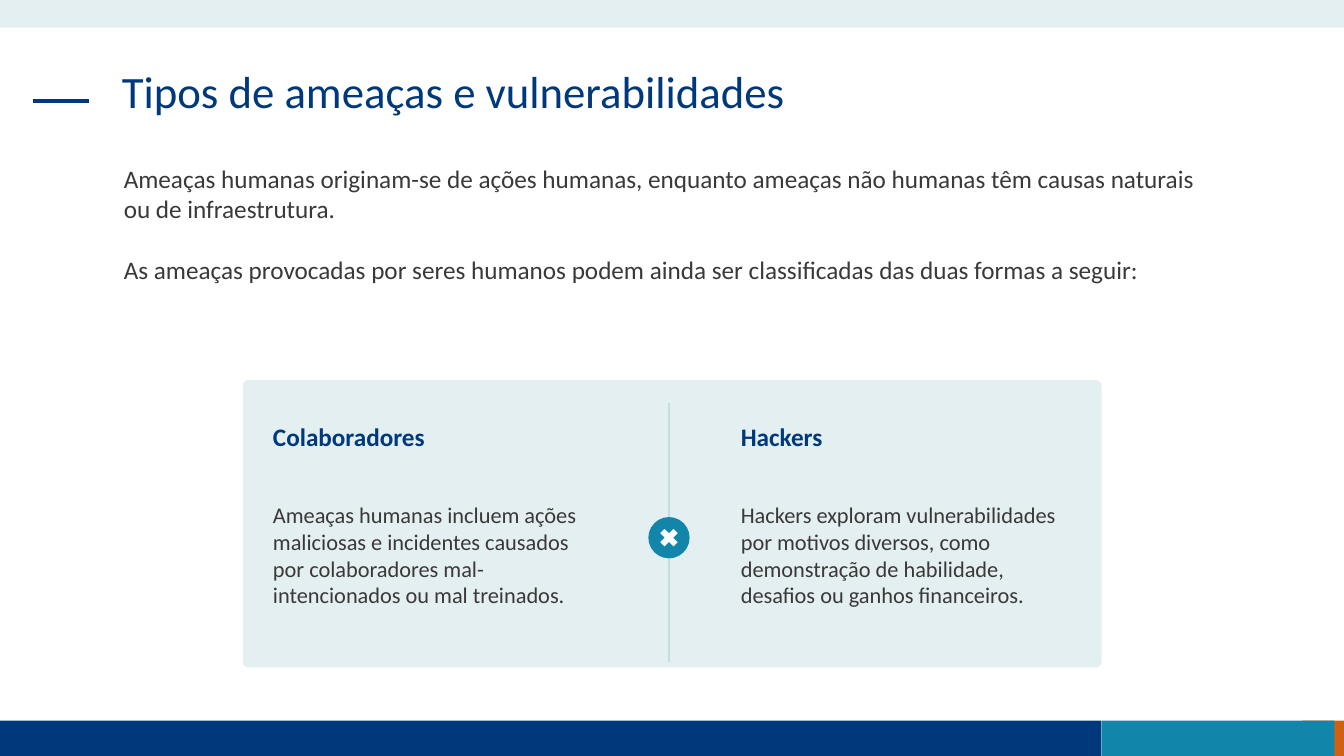
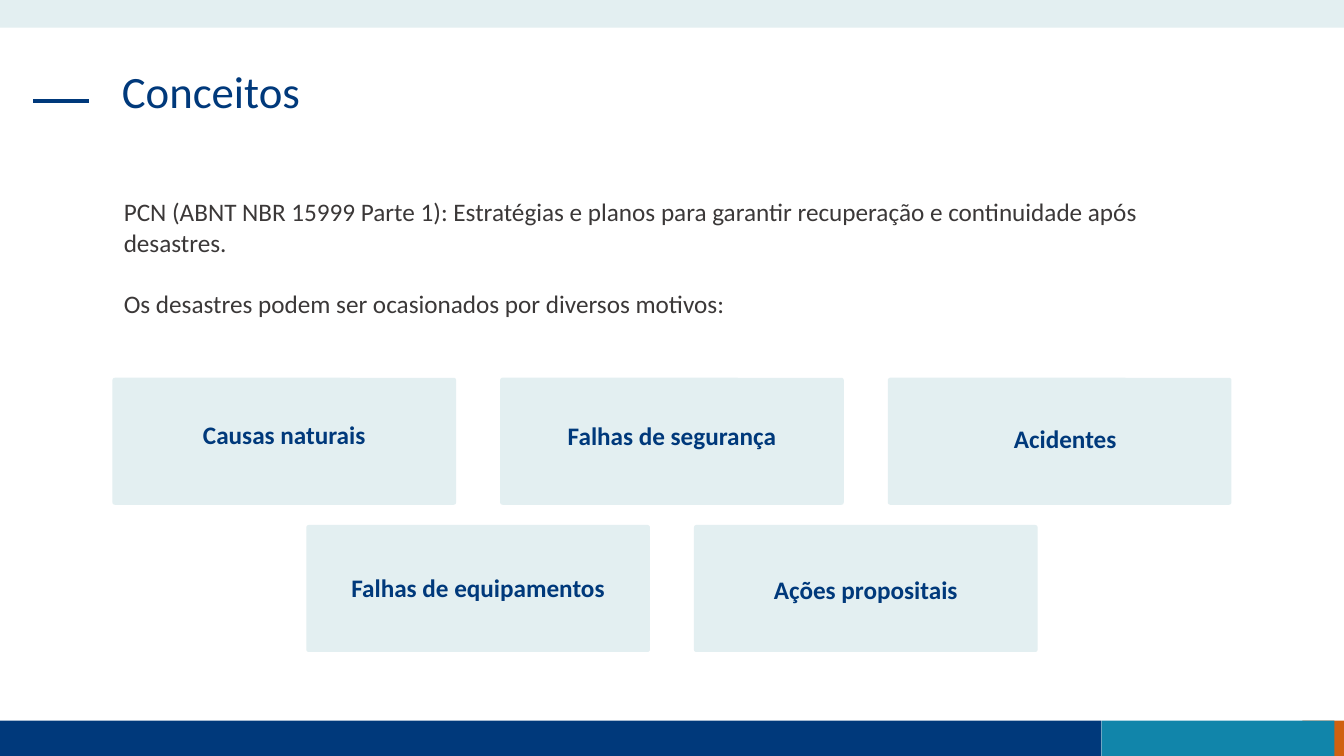
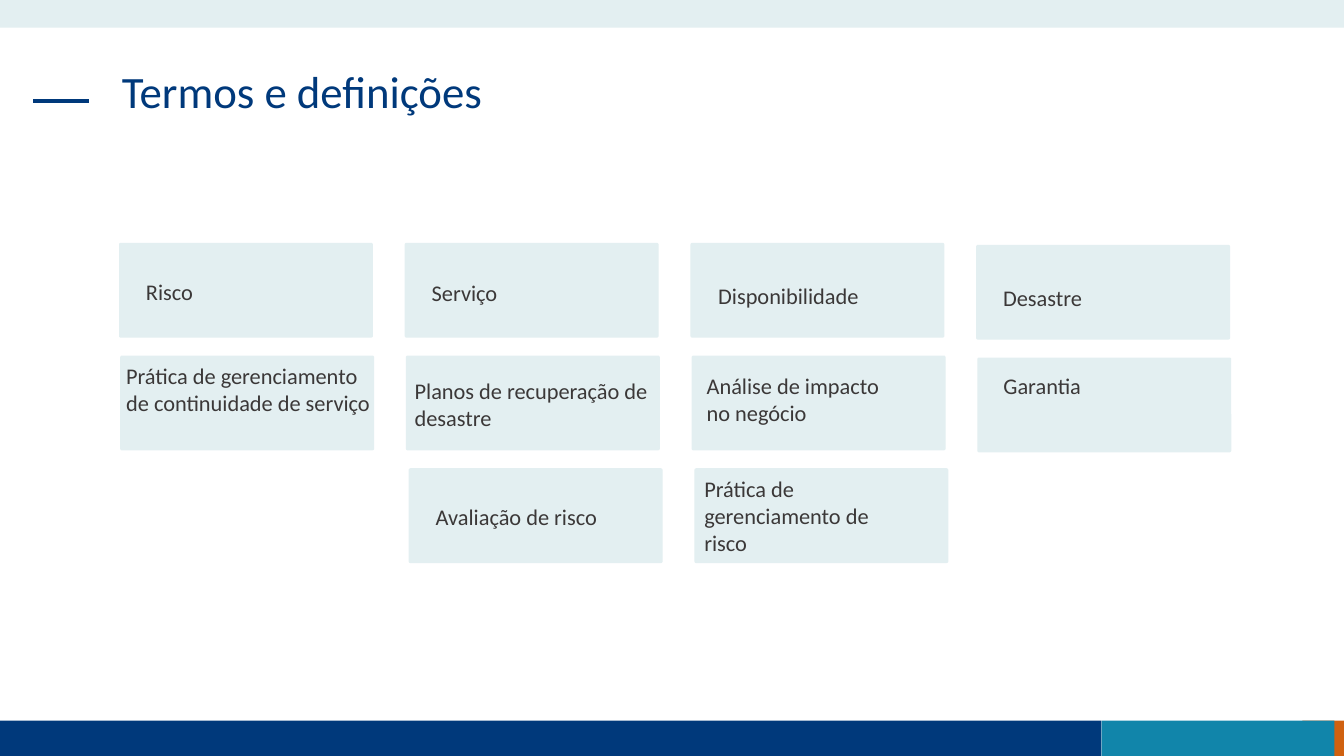
from lxml import etree
from pptx import Presentation
from pptx import util as u
from pptx.dml.color import RGBColor
from pptx.enum import shapes, text
from pptx.oxml import ns

NAVY = RGBColor(0x00, 0x39, 0x7B)
TEAL = RGBColor(0x11, 0x85, 0xAA)
ORANGE = RGBColor(0xD0, 0x61, 0x10)
PALE = RGBColor(0xE3, 0xEF, 0xF1)
DIVIDER = RGBColor(0xC4, 0xDD, 0xE1)
GRAY = RGBColor(0x3B, 0x38, 0x38)
WHITE = RGBColor(0xFF, 0xFF, 0xFF)

FONT = "Calibri"
PAGE_WIDTH, PAGE_HEIGHT = 33.87, 19.05  # all lengths in centimetres
FOOTER_HEIGHT = 0.89
CORNER = 0.019
SHAPE = shapes.MSO_SHAPE


# Building blocks
def add_block(slide, box, color, kind=SHAPE.RECTANGLE):
    shape = slide.shapes.add_shape(kind, *map(u.Cm, box))
    shape.shadow.inherit = False
    shape.fill.solid()
    shape.fill.fore_color.rgb = color
    shape.line.fill.background()
    return shape


def add_card(slide, box):
    card = add_block(slide, box, PALE, SHAPE.ROUNDED_RECTANGLE)
    card.adjustments[0] = CORNER


def add_rule(slide, start, end, color, weight):
    rule = slide.shapes.add_connector(
        shapes.MSO_CONNECTOR.STRAIGHT, *map(u.Cm, start + end))
    rule.line.color.rgb = color
    rule.line.width = u.Pt(weight)
    etree.SubElement(rule.element.spPr, ns.qn("a:effectLst"))


def add_text(slide, box, paragraphs, size, color=GRAY, bold=False,
             align=text.PP_ALIGN.LEFT, gap=0, line_spacing=None):
    frame = slide.shapes.add_textbox(*map(u.Cm, box)).text_frame
    frame.word_wrap = True
    frame.text = "\n".join(paragraphs)
    for index, paragraph in enumerate(frame.paragraphs):
        paragraph.alignment = align
        paragraph.line_spacing = line_spacing
        if index:
            paragraph.space_before = u.Pt(gap)
        for run in paragraph.runs:
            run.font.name = FONT
            run.font.size = u.Pt(size)
            run.font.bold = bold
            run.font.color.rgb = color


# Shared frame: bands, title mark and title
def add_framed_slide(presentation, title):
    slide = presentation.slides.add_slide(presentation.slide_layouts[6])
    footer_top = PAGE_HEIGHT - FOOTER_HEIGHT
    for left, width, color in ((32.82, 1.05, ORANGE), (0, 27.76, NAVY),
                               (27.76, 5.87, TEAL)):
        add_block(slide, (left, footer_top, width, FOOTER_HEIGHT), color)
    add_block(slide, (0, 0, PAGE_WIDTH, 0.7), PALE)
    add_rule(slide, (0.84, 2.54), (2.24, 2.54), NAVY, 3)
    add_text(slide, (2.82, 1.63, 28.19, 2.39), [title], 32, NAVY,
             line_spacing=0.9)
    return slide


def add_intro(slide, top, paragraphs):
    add_text(slide, (2.87, top, 28.17, 3.33), paragraphs, 18, gap=22)


# Two-column comparison card
def add_comparison(slide, box, columns):
    left, top, _, height = box
    add_card(slide, box)
    for index, (heading, body) in enumerate(columns):
        column_left = left + 0.51 + index * 11.79
        add_text(slide, (column_left, top + 0.91, 8.66, 1.02), [heading],
                 18, NAVY, bold=True)
        add_text(slide, (column_left, top + 2.92, 8.66, 3), [body], 16)

    # Divider with a round badge
    center_x, center_y = left + 10.74, top + 3.97
    add_rule(slide, (center_x, top + 0.58), (center_x, top + height - 0.13),
             DIVIDER, 1.5)
    for size, color, kind in ((1.04, TEAL, SHAPE.OVAL),
                              (0.64, WHITE, SHAPE.MATH_MULTIPLY)):
        add_block(slide, (center_x - size / 2, center_y - size / 2, size, size),
                  color, kind)


# Rows of cards, each row centred on the page
def add_centered_cards(slide, top, rows):
    width, height, gap_x, gap_y = 8.66, 3.2, 1.11, 0.51
    for row_index, row in enumerate(rows):
        row_width = len(row) * (width + gap_x) - gap_x
        row_left = (PAGE_WIDTH - row_width) / 2
        row_top = top + row_index * (height + gap_y)
        for index, (label, shift_x, shift_y) in enumerate(row):
            left = row_left + index * (width + gap_x)
            add_card(slide, (left, row_top, width, height))
            add_text(slide, (left + 0.57 + shift_x, row_top + shift_y,
                             width - 1.14, 1.02),
                     [label], 18, NAVY, True, text.PP_ALIGN.CENTER)


# Grid of terms: column, row, label, label offset and label width
def add_term_grid(slide, left, top, terms):
    row_shifts = (0, 0.03, 0.1)
    column_drops = (0, 0, 0, 0.05)
    for column, row, label, shift_x, shift_y, label_width in terms:
        card_left = left + column * 7.2 + row_shifts[row]
        card_top = top + row * 2.84 + column_drops[column]
        add_card(slide, (card_left, card_top, 6.4, 2.39))
        add_text(slide, (card_left + shift_x, card_top + shift_y,
                         label_width, 0.94), [label], 16)


def build_threats(presentation):
    slide = add_framed_slide(presentation, "Tipos de ameaças e vulnerabilidades")
    add_intro(slide, 3.99, [
        "Ameaças humanas originam-se de ações humanas, enquanto ameaças não "
        "humanas têm causas naturais ou de infraestrutura.",
        "As ameaças provocadas por seres humanos podem ainda ser "
        "classificadas das duas formas a seguir:",
    ])
    add_comparison(slide, (6.12, 9.58, 21.64, 7.24), [
        ("Colaboradores",
         "Ameaças humanas incluem ações maliciosas e incidentes causados por "
         "colaboradores mal-intencionados ou mal treinados."),
        ("Hackers",
         "Hackers exploram vulnerabilidades por motivos diversos, como "
         "demonstração de habilidade, desafios ou ganhos financeiros."),
    ])


def build_concepts(presentation):
    slide = add_framed_slide(presentation, "Conceitos")
    add_intro(slide, 4.83, [
        "PCN (ABNT NBR 15999 Parte 1): Estratégias e planos para garantir "
        "recuperação e continuidade após desastres.",
        "Os desastres podem ser ocasionados por diversos motivos:",
    ])
    add_centered_cards(slide, 9.52, [
        [("Causas naturais", 0, 0.91), ("Falhas de segurança", 0, 0.94),
         ("Acidentes", 0.14, 1.02)],
        [("Falhas de equipamentos", 0, 1.07), ("Ações propositais", 0, 1.12)],
    ])


def build_terms(presentation):
    slide = add_framed_slide(presentation, "Termos e definições")
    add_term_grid(slide, 3, 6.12, [
        (0, 0, "Risco", 0.43, 0.76, 5.54),
        (1, 0, "Serviço", 0.43, 0.79, 5.54),
        (2, 0, "Disponibilidade", 0.45, 0.86, 5.54),
        (3, 0, "Desastre", 0.43, 0.86, 5.54),
        (0, 1, "Prática de gerenciamento de continuidade de serviço",
         -0.1, 0.05, 6.7),
        (1, 1, "Planos de recuperação de desastre", -0.03, 0.41, 6.4),
        (2, 1, "Análise de impacto no negócio", 0.13, 0.3, 5.54),
        (3, 1, "Garantia", 0.41, 0.25, 5.54),
        (1, 2, "Avaliação de risco", 0.43, 0.76, 5.54),
        (2, 2, "Prática de gerenciamento de risco", 0, 0.05, 5.54),
    ])


def main():
    presentation = Presentation()
    presentation.slide_width = u.Cm(PAGE_WIDTH)
    presentation.slide_height = u.Cm(PAGE_HEIGHT)
    build_threats(presentation)
    build_concepts(presentation)
    build_terms(presentation)
    presentation.save("out.pptx")


if __name__ == "__main__":
    main()
